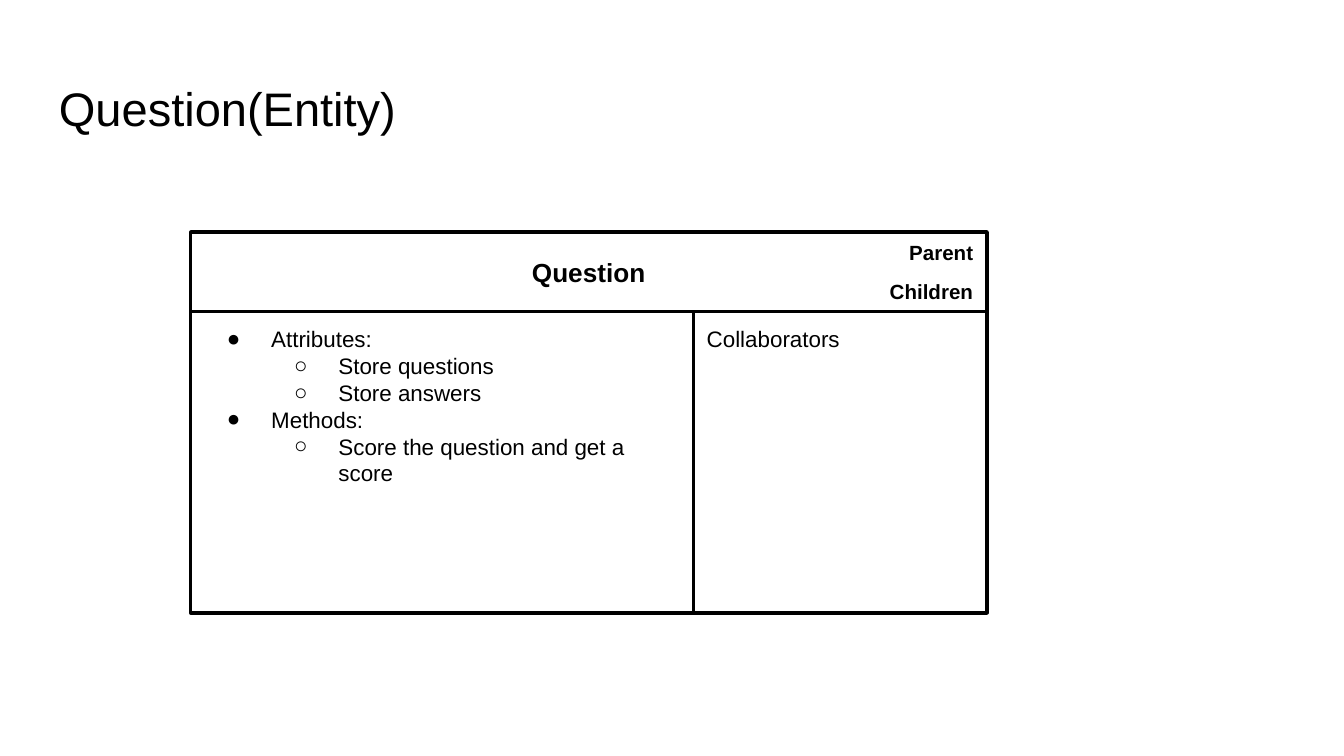
import pptx
import pptx.util
import pptx.dml.color
import pptx.enum.shapes
import pptx.enum.text
import pptx.oxml.ns
from dataclasses import dataclass
from lxml import etree

Inches = pptx.util.Inches
Pt = pptx.util.Pt
ALIGN = pptx.enum.text.PP_ALIGN
ANCHOR = pptx.enum.text.MSO_ANCHOR


@dataclass(frozen=True)
class Theme:
    font: str = "Arial"
    ink: pptx.dml.color.RGBColor = pptx.dml.color.RGBColor(0, 0, 0)
    paper: pptx.dml.color.RGBColor = pptx.dml.color.RGBColor(255, 255, 255)
    title: float = 25.2
    heading: float = 14
    body: float = 12
    label: float = 11
    frame_line: float = 2.25
    cell_line: float = 1.5


THEME = Theme()

# Slide and card geometry in inches
SLIDE_WIDTH = 10
SLIDE_HEIGHT = SLIDE_WIDTH * 9 / 16
LEFT, TOP, WIDTH, HEIGHT = 1.42, 1.73, 5.92, 2.83
HEADER, DUTIES, RELATION = 0.59, 3.74, 0.3
SPLIT, BODY_TOP = LEFT + DUTIES, TOP + HEADER
PARTNERS, BODY = WIDTH - DUTIES, HEIGHT - HEADER

RESPONSIBILITIES = [
    (0, "Attributes:"),
    (1, "Store questions"),
    (1, "Store answers"),
    (0, "Methods:"),
    (1, "Score the question and get a score"),
]


def apply_format(target, values):
    for name, value in values.items():
        setattr(target, name, value)


def add_bullet(paragraph, level):
    paragraph.level = level
    properties = paragraph._p.get_or_add_pPr()
    properties.set("marL", str(Inches(0.5 * (level + 1))))
    properties.set("indent", str(Inches(-0.33)))
    qn = pptx.oxml.ns.qn
    color = etree.SubElement(properties, qn("a:buClr"))
    etree.SubElement(color, qn("a:srgbClr"), val=str(THEME.ink))
    etree.SubElement(properties, qn("a:buFont"), typeface=THEME.font)
    etree.SubElement(properties, qn("a:buChar"), char="●○"[level])


def write(shape, lines, size, bold=False, align=ALIGN.LEFT,
          anchor=ANCHOR.TOP, bulleted=False):
    frame = shape.text_frame
    inset = Inches(0.1)
    apply_format(frame, {
        "word_wrap": True, "vertical_anchor": anchor,
        "margin_left": inset, "margin_right": inset,
        "margin_top": inset, "margin_bottom": inset,
    })
    for index, (level, text) in enumerate(lines):
        paragraph = frame.add_paragraph() if index else frame.paragraphs[0]
        paragraph.alignment = align
        if bulleted:
            add_bullet(paragraph, level)
        run = paragraph.add_run()
        run.text = text
        apply_format(run.font, {"name": THEME.font, "size": Pt(size), "bold": bold})
        run.font.color.rgb = THEME.ink


def add_box(shapes, box, line):
    cell = shapes.add_shape(pptx.enum.shapes.MSO_SHAPE.RECTANGLE, *map(Inches, box))
    cell.shadow.inherit = False
    cell.fill.solid()
    cell.fill.fore_color.rgb = THEME.paper
    cell.line.color.rgb = THEME.ink
    cell.line.width = Pt(line)
    return cell


def add_label(shapes, box, text, size, **style):
    write(shapes.add_textbox(*map(Inches, box)), [(0, text)], size, **style)


def add_card(slide):
    card = slide.shapes.add_group_shape().shapes
    # Outer frame and header
    add_box(card, (LEFT, TOP, WIDTH, HEIGHT), THEME.frame_line)
    header = add_box(card, (LEFT, TOP, WIDTH, HEADER), THEME.cell_line)
    write(header, [(0, "Question")], THEME.heading, bold=True,
          align=ALIGN.CENTER, anchor=ANCHOR.MIDDLE)
    # Relations at the top and bottom of the header's right end
    for relation, top in (("Parent", TOP), ("Children", BODY_TOP - RELATION)):
        add_label(card, (SPLIT, top, PARTNERS, RELATION),
                  relation, THEME.label, bold=True,
                  align=ALIGN.RIGHT, anchor=ANCHOR.MIDDLE)
    # Responsibilities and collaborators
    duties = add_box(card, (LEFT, BODY_TOP, DUTIES, BODY), THEME.cell_line)
    write(duties, RESPONSIBILITIES, THEME.body, bulleted=True)
    partners = add_box(card, (SPLIT, BODY_TOP, PARTNERS, BODY), THEME.cell_line)
    write(partners, [(0, "Collaborators")], THEME.body)


def main():
    deck = pptx.Presentation()
    apply_format(deck, {"slide_width": Inches(SLIDE_WIDTH),
                        "slide_height": Inches(SLIDE_HEIGHT)})
    slide = deck.slides.add_slide(deck.slide_layouts[6])
    # Slide title
    add_label(slide.shapes, (0.34, 0.49, 9.32, 0.63), "Question(Entity)", THEME.title)
    add_card(slide)
    deck.save("out.pptx")


main()
